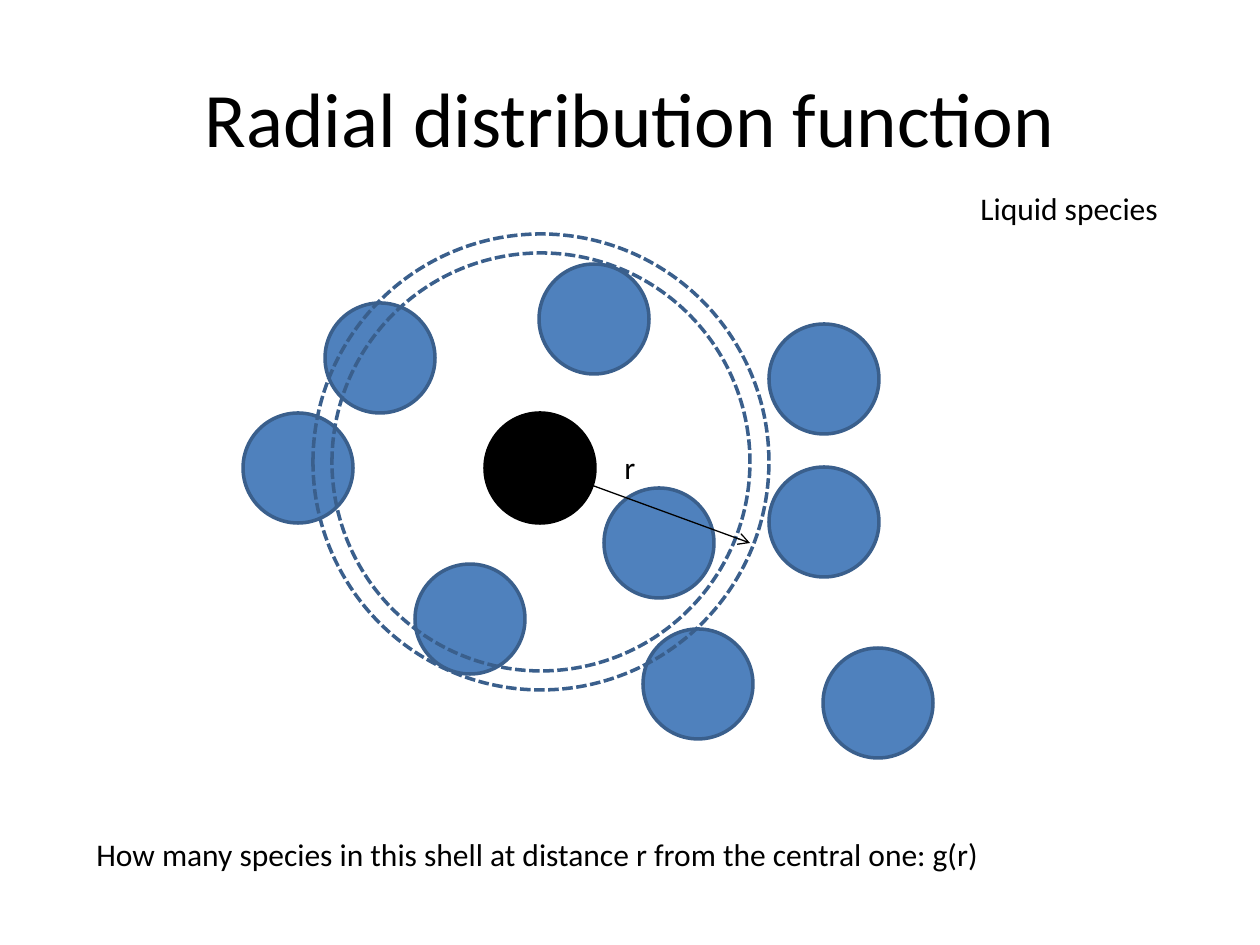
from dataclasses import dataclass

from lxml import etree
from pptx import Presentation
from pptx import util as u
from pptx.dml.color import RGBColor
from pptx.enum import dml, shapes, text
from pptx.oxml import ns

EMU_PER_PX = 914400 / 126


def px(length):
    return u.Emu(round(length * EMU_PER_PX))


@dataclass(frozen=True)
class Theme:
    font: str = "Calibri"
    ink: RGBColor = RGBColor(0x00, 0x00, 0x00)
    particle: RGBColor = RGBColor(0x4F, 0x81, 0xBD)
    outline: RGBColor = RGBColor(0x3A, 0x5F, 0x8C)
    title_size: int = 44
    body_size: int = 18
    outline_width: float = 2
    arrow_width: float = 0.75


class SlideBuilder:
    def __init__(self, slide, theme):
        self.slide = slide
        self.theme = theme

    def circle(self, center_x, center_y, radius, fill=None, outline=None, dash=None):
        shape = self.slide.shapes.add_shape(
            shapes.MSO_SHAPE.OVAL, px(center_x - radius), px(center_y - radius),
            px(2 * radius), px(2 * radius))
        shape.shadow.inherit = False
        if fill is None:
            shape.fill.background()
        else:
            shape.fill.solid()
            shape.fill.fore_color.rgb = fill
        shape.line.color.rgb = outline or self.theme.outline
        shape.line.width = u.Pt(self.theme.outline_width)
        if dash:
            shape.line.dash_style = dash

    def arrow(self, start, end):
        connector = self.slide.shapes.add_connector(
            shapes.MSO_CONNECTOR.STRAIGHT, *map(px, start + end))
        connector.line.color.rgb = self.theme.ink
        connector.line.width = u.Pt(self.theme.arrow_width)
        etree.SubElement(connector.line._get_or_add_ln(), ns.qn("a:tailEnd"), type="arrow")
        etree.SubElement(connector._element.spPr, ns.qn("a:effectLst"))

    def label(self, box, wording, size=None, **frame_format):
        shape = self.slide.shapes.add_textbox(*map(px, box))
        frame = shape.text_frame
        frame_values = {"word_wrap": False,
                        "auto_size": text.MSO_AUTO_SIZE.SHAPE_TO_FIT_TEXT}
        for name, value in (frame_values | frame_format).items():
            setattr(frame, name, value)
        paragraph = frame.paragraphs[0]
        run = paragraph.add_run()
        run.text = wording
        font_values = {"name": self.theme.font, "size": u.Pt(size or self.theme.body_size)}
        for name, value in font_values.items():
            setattr(run.font, name, value)
        run.font.color.rgb = self.theme.ink
        return paragraph


def main():
    presentation = Presentation()
    presentation.slide_width, presentation.slide_height = px(1260), px(945)
    theme = Theme()
    builder = SlideBuilder(
        presentation.slides.add_slide(presentation.slide_layouts[6]), theme)

    # Title
    title = builder.label(
        (63, 38, 1134, 158), "Radial distribution function", theme.title_size,
        word_wrap=True, auto_size=text.MSO_AUTO_SIZE.NONE,
        vertical_anchor=text.MSO_ANCHOR.MIDDLE)
    title.alignment = text.PP_ALIGN.CENTER

    # Liquid particles around the central one
    particle_radius = 55
    particle_centers = [(298, 468), (380, 358), (824, 522), (470, 619), (698, 684),
                        (878, 703), (824, 379), (659, 543), (594, 319)]
    for center in particle_centers:
        builder.circle(*center, particle_radius, fill=theme.particle)
    builder.circle(540, 468, particle_radius, fill=theme.ink, outline=theme.ink)

    # Shell between two dashed circles
    for radius in (209, 228):
        builder.circle(541, 462, radius, dash=dml.MSO_LINE.SQUARE_DOT)

    # Distance from the central particle to the shell
    builder.arrow((542, 467), (750, 543))
    builder.label((612, 442, 37, 50), "r")

    # Captions
    builder.label((84, 829, 919, 50),
                  "How many species in this shell at distance r from the central one: g(r)")
    builder.label((968, 183, 205, 50), "Liquid species")

    presentation.save("out.pptx")


if __name__ == "__main__":
    main()
